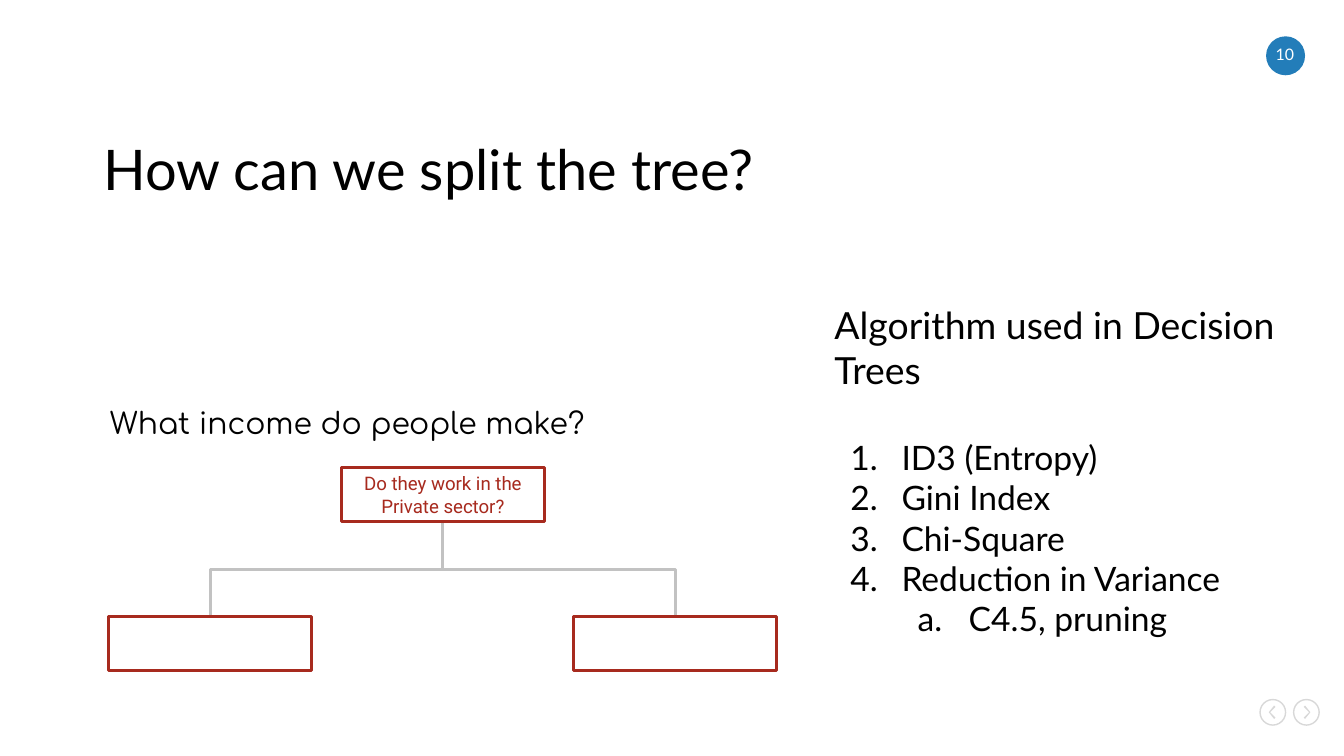
from dataclasses import dataclass

from lxml.etree import SubElement
from pptx import Presentation
from pptx.dml.color import RGBColor
from pptx.enum.shapes import MSO_CONNECTOR as Link, MSO_SHAPE as Preset
from pptx.enum.text import MSO_ANCHOR as Anchor, PP_ALIGN as Align
from pptx.oxml.ns import qn
from pptx.util import Inches, Pt

BLACK = RGBColor(0x00, 0x00, 0x00)
WHITE = RGBColor(0xFF, 0xFF, 0xFF)
BLUE = RGBColor(0x23, 0x7D, 0xB9)
RED = RGBColor(0xA7, 0x2A, 0x1E)
GREY = RGBColor(0xC2, 0xC2, 0xC2)
PALE = RGBColor(0xD8, 0xD8, 0xD8)

PAGE_WIDTH = 10
PAGE_HEIGHT = PAGE_WIDTH * 9 / 16
NODE_WIDTH, NODE_HEIGHT = 1.51, 0.4
ARROW_SIZE = 0.19


@dataclass(frozen=True)
class Label:
    text: str
    left: float
    top: float
    width: float
    height: float
    font: str
    size: float


@dataclass(frozen=True)
class Node:
    left: float
    top: float
    text: str = ""

    @property
    def middle(self) -> float:
        return self.left + NODE_WIDTH / 2


@dataclass(frozen=True)
class Item:
    text: str
    level: int = 0
    numbering: str = "arabicPeriod"


LABELS = [
    Label("How can we split the tree?", 0.67, 0.9, 5.43, 0.82, "Lato", 30),
    Label("What income do people make?", 0.72, 2.91, 3.93, 0.48, "Comfortaa", 16),
]
ALGORITHMS = Label("Algorithm used in Decision Trees", 6.11, 2.15, 3.54, 2.86, "Lato", 20)
ITEMS = [
    Item("ID3 (Entropy)"),
    Item("Gini Index"),
    Item("Chi-Square"),
    Item("Reduction in Variance"),
    Item("C4.5, pruning", 1, "alphaLcPeriod"),
]
ROOT = Node(2.54, 3.48, "Do they work in the Private sector?")
LEAVES = [Node(0.81, 4.59), Node(4.27, 4.59)]


def style(paragraph, font: str, size: float, color: RGBColor) -> None:
    paragraph.font.name = font
    paragraph.font.size = Pt(size)
    paragraph.font.color.rgb = color


def set_margins(frame, inches: float) -> None:
    frame.margin_left = frame.margin_right = Inches(inches)
    frame.margin_top = frame.margin_bottom = Inches(inches)


def add_label(page, label: Label, color: RGBColor = BLACK, margin: float = 0.1):
    box = page.shapes.add_textbox(
        Inches(label.left), Inches(label.top), Inches(label.width), Inches(label.height)
    )
    frame = box.text_frame
    frame.word_wrap = True
    set_margins(frame, margin)
    frame.text = label.text
    style(frame.paragraphs[0], label.font, label.size, color)
    return frame


def add_outline(page, preset, left: float, top: float, width: float, height: float,
                color: RGBColor, weight: float):
    shape = page.shapes.add_shape(
        preset, Inches(left), Inches(top), Inches(width), Inches(height)
    )
    shape.shadow.inherit = False
    shape.fill.background()
    shape.line.color.rgb = color
    shape.line.width = Pt(weight)
    return shape


def add_node(page, node: Node) -> None:
    shape = add_outline(
        page, Preset.RECTANGLE, node.left, node.top, NODE_WIDTH, NODE_HEIGHT, RED, 1.5
    )
    if node.text:
        frame = shape.text_frame
        frame.word_wrap = True
        frame.vertical_anchor = Anchor.MIDDLE
        set_margins(frame, 0.1)
        frame.text = node.text
        frame.paragraphs[0].alignment = Align.CENTER
        style(frame.paragraphs[0], "Roboto", 10, RED)


def add_branch(page, root: Node, leaf: Node) -> None:
    root_bottom = root.top + NODE_HEIGHT
    rise = leaf.top - root_bottom
    run = abs(leaf.middle - root.middle)
    left = (root.middle + leaf.middle - rise) / 2
    top = (root_bottom + leaf.top - run) / 2
    start, end = left, left + rise
    if leaf.middle > root.middle:
        start, end = end, start
    branch = page.shapes.add_connector(
        Link.ELBOW, Inches(start), Inches(top), Inches(end), Inches(top + run)
    )
    branch.line.color.rgb = GREY
    branch.line.width = Pt(1.5)
    properties = branch._element.spPr
    properties.find(qn("a:xfrm")).set("rot", str(270 * 60000))
    SubElement(properties, qn("a:effectLst"))


def add_item(frame, item: Item):
    paragraph = frame.add_paragraph()
    paragraph.text = item.text
    paragraph.level = item.level
    properties = paragraph._p.get_or_add_pPr()
    properties.set("marL", str(Inches(0.5 * (item.level + 1))))
    properties.set("indent", str(Inches(-0.38)))
    bullet_color = SubElement(properties, qn("a:buClr"))
    SubElement(bullet_color, qn("a:srgbClr")).set("val", str(BLACK))
    SubElement(properties, qn("a:buAutoNum")).set("type", item.numbering)
    style(paragraph, "Lato", 18, BLACK)
    return paragraph


def add_page_number(page) -> None:
    disc = page.shapes.add_shape(
        Preset.OVAL, Inches(9.42), Inches(0.27), Inches(0.29), Inches(0.29)
    )
    disc.shadow.inherit = False
    disc.fill.solid()
    disc.fill.fore_color.rgb = BLUE
    disc.line.fill.background()
    frame = add_label(page, Label("10", 9.44, 0.33, 0.24, 0.14, "Lato", 8.5), WHITE, 0)
    frame.paragraphs[0].alignment = Align.CENTER


def add_arrow_button(page, center: float, direction: int) -> None:
    middle = 5.3
    outline = [(-0.01, -0.05), (-0.02, -0.04), (0.02, 0), (-0.02, 0.04), (-0.01, 0.05), (0.03, 0)]
    points = [(Inches(center + direction * x), Inches(middle + y)) for x, y in outline]
    builder = page.shapes.build_freeform(*points[0])
    builder.add_line_segments(points[1:], close=True)
    arrow = builder.convert_to_shape()
    arrow.shadow.inherit = False
    arrow.fill.solid()
    arrow.fill.fore_color.rgb = PALE
    arrow.line.fill.background()
    add_outline(page, Preset.OVAL, center - ARROW_SIZE / 2, middle - ARROW_SIZE / 2,
                ARROW_SIZE, ARROW_SIZE, PALE, 0.75)


def main() -> None:
    deck = Presentation()
    deck.slide_width, deck.slide_height = Inches(PAGE_WIDTH), Inches(PAGE_HEIGHT)
    page = deck.slides.add_slide(deck.slide_layouts[6])
    add_page_number(page)
    add_arrow_button(page, 9.47, -1)
    add_arrow_button(page, 9.72, 1)
    for leaf in reversed(LEAVES):
        add_branch(page, ROOT, leaf)
    for node in [ROOT, *LEAVES]:
        add_node(page, node)
    for label in LABELS:
        add_label(page, label)
    frame = add_label(page, ALGORITHMS)
    paragraphs = [add_item(frame, item) for item in ITEMS]
    paragraphs[0].space_before = Pt(24)
    deck.save("out.pptx")


if __name__ == "__main__":
    main()
